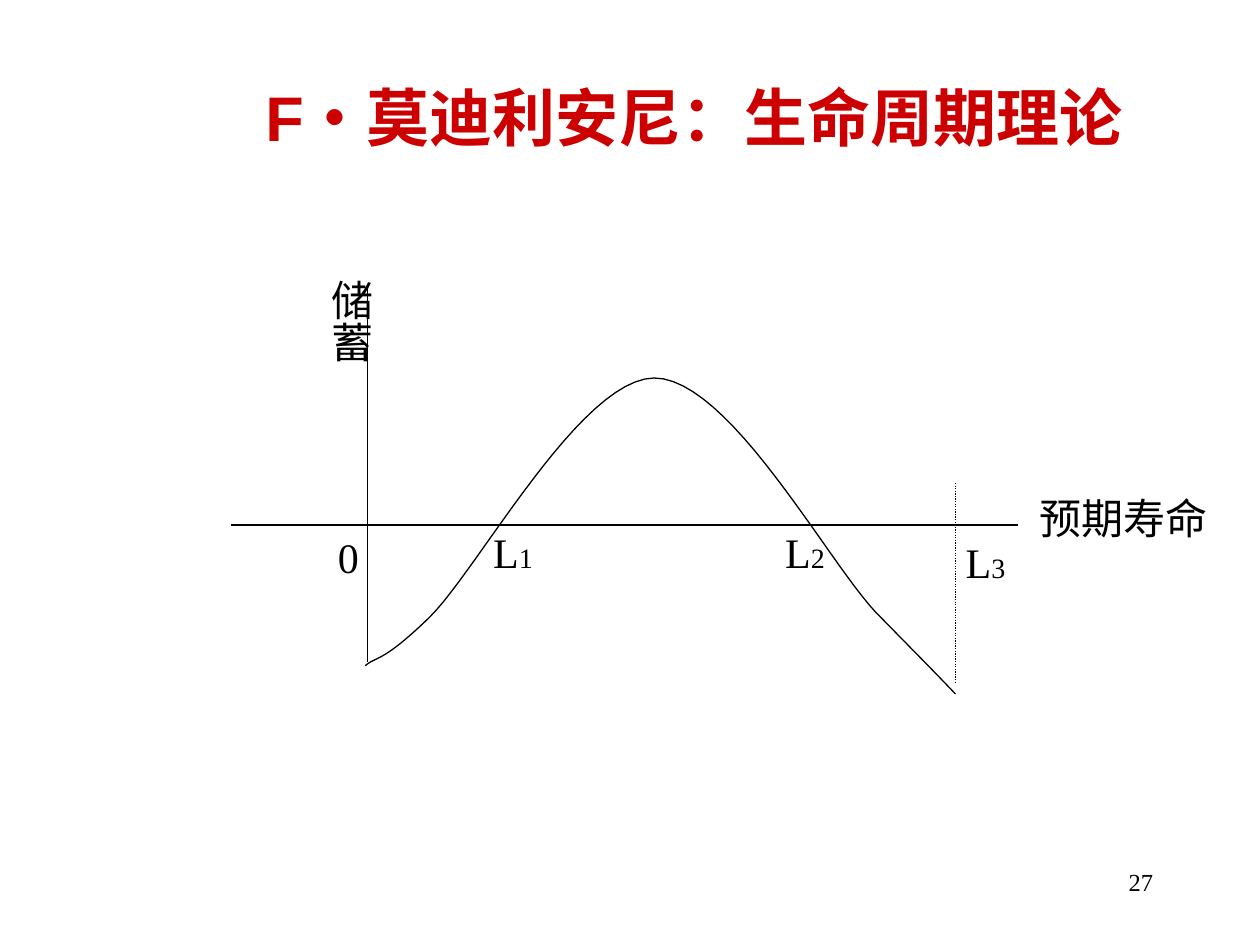
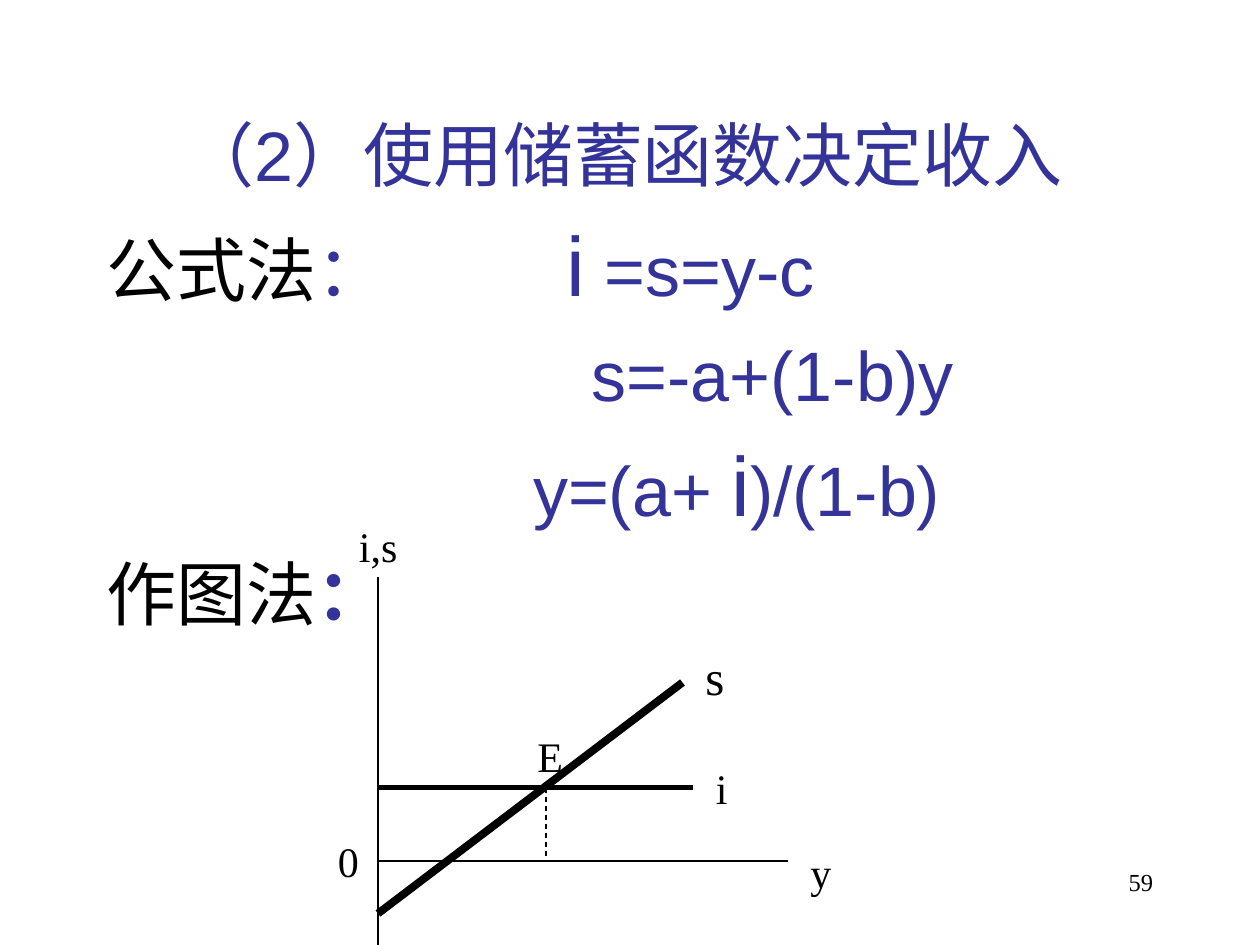
from lxml import etree
from pptx import Presentation
from pptx.dml.color import RGBColor
from pptx.enum import dml, shapes, text
from pptx.oxml.ns import qn
from pptx.util import Emu, Pt

# Shared scale, colours and fonts
PX = 7620  # 120 px to the inch
BLACK, RED, BLUE = "000000", "CC0000", "333399"
SERIF, SANS, CJK = "Times New Roman", "Arial", "Noto Sans CJK SC"
THIN = 0.75


def px(n):
    return Emu(round(n * PX))


def rgb(value):
    return RGBColor.from_string(value)


# Text
def add_box(slide, x, y, w, h, wrap=True, anchor=text.MSO_ANCHOR.TOP):
    tf = slide.shapes.add_textbox(px(x), px(y), px(w), px(h)).text_frame
    tf.word_wrap = wrap
    tf.vertical_anchor = anchor
    return tf


def add_run(p, content, size, color=BLACK, font=SERIF, bold=False):
    r = p.add_run()
    r.text = content
    r.font.size, r.font.name, r.font.bold = Pt(size), font, bold
    r.font.color.rgb = rgb(color)


def add_label(slide, x, y, w, content, sub="", size=24):
    p = add_box(slide, x, y, w, 60).paragraphs[0]
    add_run(p, content, size)
    if sub:
        add_run(p, sub, 16)


def add_vertical_label(slide, x, y, w, h, content):
    tf = add_box(slide, x, y, w, h, wrap=False)
    tf.margin_left = tf.margin_right = px(6)
    tf.margin_top = tf.margin_bottom = px(12)
    tf._txBody.bodyPr.set("vert", "eaVert")
    add_run(tf.paragraphs[0], content, 24)


def add_page_number(slide, number):
    p = add_box(slide, 860, 820, 250, 60).paragraphs[0]
    p.alignment = text.PP_ALIGN.RIGHT
    add_run(p, str(number), 14)


def add_body_line(tf, runs, indent=0, tab=None):
    first = not tf.paragraphs[0].runs
    p = tf.paragraphs[0] if first else tf.add_paragraph()
    pPr = p._p.get_or_add_pPr()
    pPr.set("marL", str(px(indent)))
    if not first:
        p.space_before = Pt(10)
    if tab:
        tabs = etree.SubElement(pPr, qn("a:tabLst"))
        etree.SubElement(tabs, qn("a:tab"), pos=str(px(tab)), algn="l")
    for content, size, color, bold in runs:
        add_run(p, content, size, color, SANS, bold)


# Lines
def add_line(slide, x1, y1, x2, y2, width=THIN, dash=None):
    line = slide.shapes.add_connector(
        shapes.MSO_CONNECTOR.STRAIGHT, px(x1), px(y1), px(x2), px(y2))
    line.line.color.rgb = rgb(BLACK)
    line.line.width = Pt(width)
    if dash:
        line.line.dash_style = dash
    etree.SubElement(line._element.spPr, qn("a:effectLst"))


def bezier(a, b, c, d, steps=24):
    for i in range(1, steps + 1):
        t = i / steps
        s = 1 - t
        yield tuple(px(s**3 * k + 3 * s * s * t * m + 3 * s * t * t * n + t**3 * q)
                    for k, m, n, q in zip(a, b, c, d))


def add_curve(slide, knots):
    points = [pt for i in range(0, len(knots) - 1, 3)
              for pt in bezier(*knots[i:i + 4])]
    x, y = knots[0]
    builder = slide.shapes.build_freeform(px(x), px(y), scale=1.0)
    builder.add_line_segments(points, close=False)
    sp = builder.convert_to_shape()
    sp.shadow.inherit = False
    sp.fill.background()
    sp.line.color.rgb = rgb(BLACK)
    sp.line.width = Pt(THIN)


# Slides
def life_cycle_slide(slide):
    p = add_box(slide, 241, 36, 899, 150,
                anchor=text.MSO_ANCHOR.MIDDLE).paragraphs[0]
    for content, font in (("F", SANS), ("•", CJK), ("莫迪利安尼：生命周期理论", SANS)):
        add_run(p, content, 36, RED, font, True)

    # Axes, savings curve and end of life
    add_line(slide, 220, 500, 970, 500)
    add_curve(slide, [(348, 634), (358, 625), (364, 632), (410, 587),
                      (456, 541), (553, 361), (623, 360),
                      (694, 360), (787, 533), (834, 583),
                      (882, 632), (894, 644), (910, 661)])
    add_line(slide, 350, 270, 350, 630)
    add_line(slide, 910, 460, 910, 650, dash=dml.MSO_LINE.ROUND_DOT)

    # Labels
    add_vertical_label(slide, 292, 254, 72, 92, "储蓄")
    add_label(slide, 310, 500, 50, "0")
    add_label(slide, 978, 463, 190, "预期寿命")
    for x, y, sub in ((458, 496, "1"), (736, 496, "2"), (908, 505, "3")):
        add_label(slide, x, y, 62, "L", sub)


def savings_function_slide(slide):
    # Formula method
    tf = add_box(slide, 90, 100, 1020, 700)
    add_body_line(tf, [("（2）使用储蓄函数决定收入", 40, BLUE, False)], indent=74)
    add_body_line(tf, [("公式法", 40, BLACK, False), ("：\t", 40, BLUE, False),
                       ("i", 48, BLUE, False), (" =s=y-c", 40, BLUE, False)], tab=438)
    add_body_line(tf, [("s=-a+(1-b)y", 40, BLUE, False)], indent=462)
    add_body_line(tf, [("y=(a+ ", 40, BLUE, False), ("i", 48, BLUE, False),
                       (")/(1-b)", 40, BLUE, False)], indent=406)
    add_body_line(tf, [("作图法", 40, BLACK, False), ("：", 40, BLUE, True)])

    # Graph method: axes, investment, saving, equilibrium income
    add_line(slide, 360, 550, 360, 900)
    add_line(slide, 360, 820, 750, 820)
    add_line(slide, 360, 750, 660, 750, width=3)
    add_line(slide, 360, 870, 650, 650, width=4.5)
    add_line(slide, 520, 750, 520, 820, dash=dml.MSO_LINE.DASH)
    for x, y, w, name, size in ((310, 790, 60, "0", 24), (660, 610, 90, "s", 28),
                                (670, 720, 80, "i", 24), (330, 490, 140, "i,s", 24),
                                (760, 800, 60, "y", 24), (500, 690, 50, "E", 24)):
        add_label(slide, x, y, w, name, size=size)


def main():
    prs = Presentation()
    prs.slide_width, prs.slide_height = px(1200), px(900)
    for build, number in ((life_cycle_slide, 27), (savings_function_slide, 59)):
        slide = prs.slides.add_slide(prs.slide_layouts[6])
        add_page_number(slide, number)
        build(slide)
    prs.save("out.pptx")


if __name__ == "__main__":
    main()
